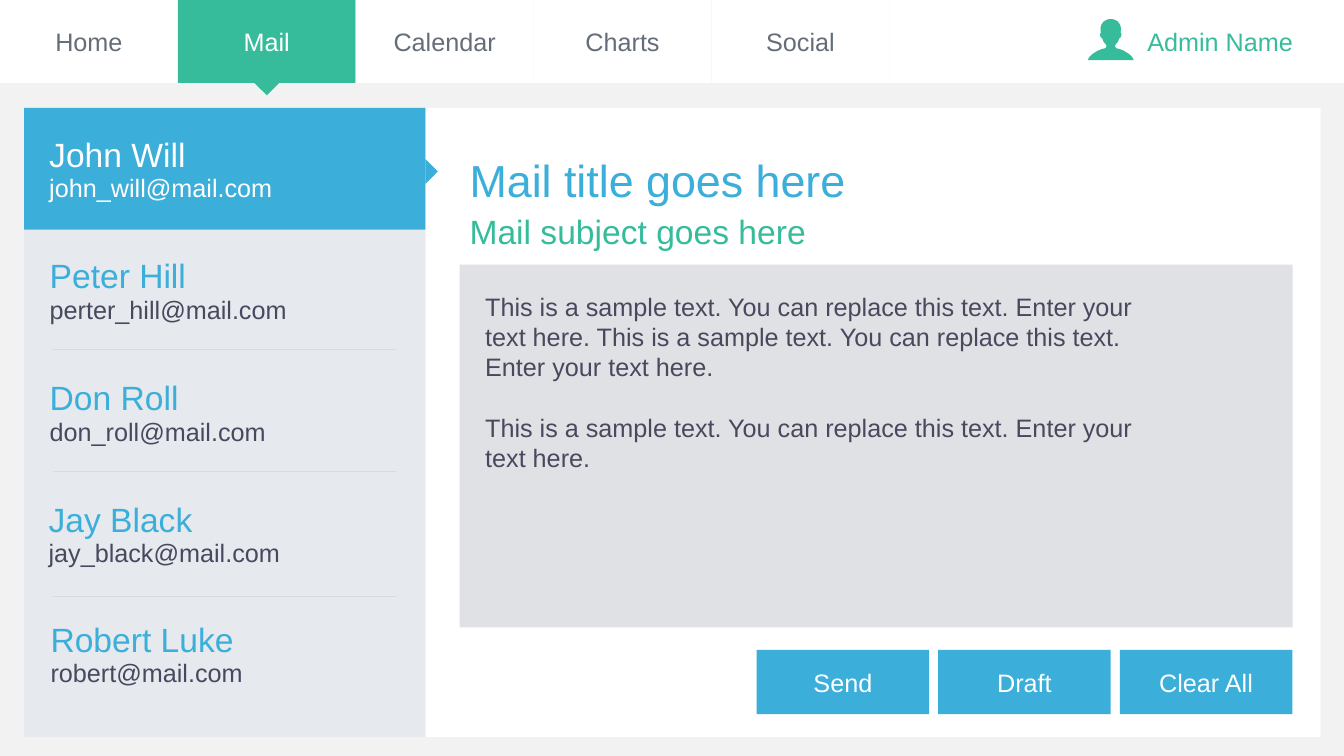
from pptx import Presentation
from pptx.dml.color import RGBColor
from pptx.enum.shapes import MSO_CONNECTOR, MSO_SHAPE
from pptx.enum.text import MSO_ANCHOR, PP_ALIGN
from pptx.util import Pt
from lxml import etree

RECTANGLE = MSO_SHAPE.RECTANGLE
TRIANGLE = MSO_SHAPE.ISOSCELES_TRIANGLE
STRAIGHT = MSO_CONNECTOR.STRAIGHT
MIDDLE = MSO_ANCHOR.MIDDLE
LEFT, CENTER = PP_ALIGN.LEFT, PP_ALIGN.CENTER
DRAWING_NS = "http://schemas.openxmlformats.org/drawingml/2006/main"

rgb = RGBColor.from_string
WHITE, BLUE, GREEN = "FFFFFF", "3BAEDA", "36BC9B"
GRAY, DARK = "656D78", "48495E"


def add_block(left, top, width, height, fill, label="", color=WHITE, kind=RECTANGLE):
    block = slide.shapes.add_shape(kind, Pt(left), Pt(top), Pt(width), Pt(height))
    block.shadow.inherit = False
    block.fill.solid()
    block.fill.fore_color.rgb = rgb(fill)
    block.line.fill.background()
    if label:
        block.text_frame.text = label
        block.text_frame.vertical_anchor = MIDDLE
        paragraph = block.text_frame.paragraphs[0]
        paragraph.alignment = CENTER
        paragraph.font.size = Pt(18)
        paragraph.font.name = "Arial"
        paragraph.font.color.rgb = rgb(color)
    return block


def add_text(shapes, left, top, width, height, text, size, color, align=LEFT):
    box = shapes.add_textbox(Pt(left), Pt(top), Pt(width), Pt(height))
    frame = box.text_frame
    frame.word_wrap = True
    frame.text = text
    for paragraph in frame.paragraphs:
        paragraph.alignment = align
        paragraph.font.size = Pt(size)
        paragraph.font.name = "Arial"
        paragraph.font.color.rgb = rgb(color)
    return frame


prs = Presentation()
prs.slide_width, prs.slide_height = Pt(960), Pt(540)
slide = prs.slides.add_slide(prs.slide_layouts[6])
slide.background.fill.solid()
slide.background.fill.fore_color.rgb = rgb("F2F2F2")

add_block(304, 77, 639.4, 449.5, WHITE)
add_block(328.3, 189, 595, 259.2, "E0E1E5")

tab_width, tab_height = 127.06, 59.3
tabs = ["Home", "Mail", "Calendar", "Charts", "Social"]
for index, tab in enumerate(tabs):
    active = tab == "Mail"
    add_block(index * tab_width, 0, tab_width, tab_height,
              GREEN if active else WHITE, tab, WHITE if active else GRAY)
account_left = len(tabs) * tab_width
add_block(account_left, 0, 960 - account_left, tab_height, WHITE)
tab_pointer = add_block(181.8, tab_height, 17.6, 8.8, GREEN, kind=TRIANGLE)
tab_pointer.rotation = 180

add_text(slide.shapes, 800, 15.3, 143, 29, "Admin Name", 18, GREEN, CENTER)

avatar_center = 793.4
avatar_half = [
    (0, 13.6), (2.2, 13.9), (5, 15.3), (6.7, 17.6), (7.3, 20.2), (7.1, 23.2),
    (7.7, 24.5), (7.2, 26.6), (6.1, 27.4), (5.2, 29.8), (3.3, 32), (3, 32.8),
    (3.7, 34.4), (6.2, 35), (9.4, 36.3), (13.2, 38.7), (15.4, 40.8), (16.4, 42.9),
]
avatar_outline = avatar_half + [(-x, y) for x, y in reversed(avatar_half[1:])]
avatar_points = [(Pt(avatar_center + x), Pt(y)) for x, y in avatar_outline]
avatar_builder = slide.shapes.build_freeform(*avatar_points[0])
avatar_builder.add_line_segments(avatar_points[1:], close=True)
avatar = avatar_builder.convert_to_shape()
avatar.shadow.inherit = False
avatar.fill.solid()
avatar.fill.fore_color.rgb = rgb(GREEN)
avatar.line.fill.background()

add_block(17.3, 77, 286.7, 449.5, "E6E9EE")
add_block(17.3, 77, 286.7, 87, BLUE)

add_text(slide.shapes, 328.3, 105.8, 317.5, 46, "Mail title goes here", 32, BLUE)
add_text(slide.shapes, 328.3, 146.9, 317.5, 36, "Mail subject goes here", 24, GREEN)

for index, action in enumerate(["Send", "Draft", "Clear All"]):
    add_block(540.5 + index * 129.7, 464.3, 123.2, 45.8, BLUE, action)

message = add_text(
    slide.shapes, 339.5, 204.5, 492.5, 160,
    "This is a sample text. You can replace this text. Enter your text here. "
    "This is a sample text. You can replace this text. Enter your text here.\n"
    "This is a sample text. You can replace this text. Enter your text here.",
    18, DARK)
message.paragraphs[1].space_before = Pt(21.6)

contacts = [
    ("John Will", "john_will@mail.com", 28.1, 92.2),
    ("Peter Hill", "perter_hill@mail.com", 28.4, 178.8),
    ("Don Roll", "don_roll@mail.com", 28.4, 266),
    ("Jay Black", "jay_black@mail.com", 27.6, 352.7),
    ("Robert Luke", "robert@mail.com", 29, 438.4),
]
for index, (name, email, left, top) in enumerate(contacts):
    contact = slide.shapes.add_group_shape()
    selected = index == 0
    add_text(contact.shapes, left, top + 27.6, 264, 29, email, 18, WHITE if selected else DARK)
    add_text(contact.shapes, left, top, 264, 36, name, 24, WHITE if selected else BLUE)

for y in (249.6, 336.8, 426):
    divider = slide.shapes.add_connector(STRAIGHT, Pt(38.2), Pt(y), Pt(283), Pt(y))
    divider.line.color.rgb = rgb("D7DADF")
    divider.line.width = Pt(0.5)
    etree.SubElement(divider.element.spPr, f"{{{DRAWING_NS}}}effectLst")

contact_pointer = add_block(299.5, 118.1, 17.6, 8.8, BLUE, kind=TRIANGLE)
contact_pointer.rotation = 90

prs.save("out.pptx")
